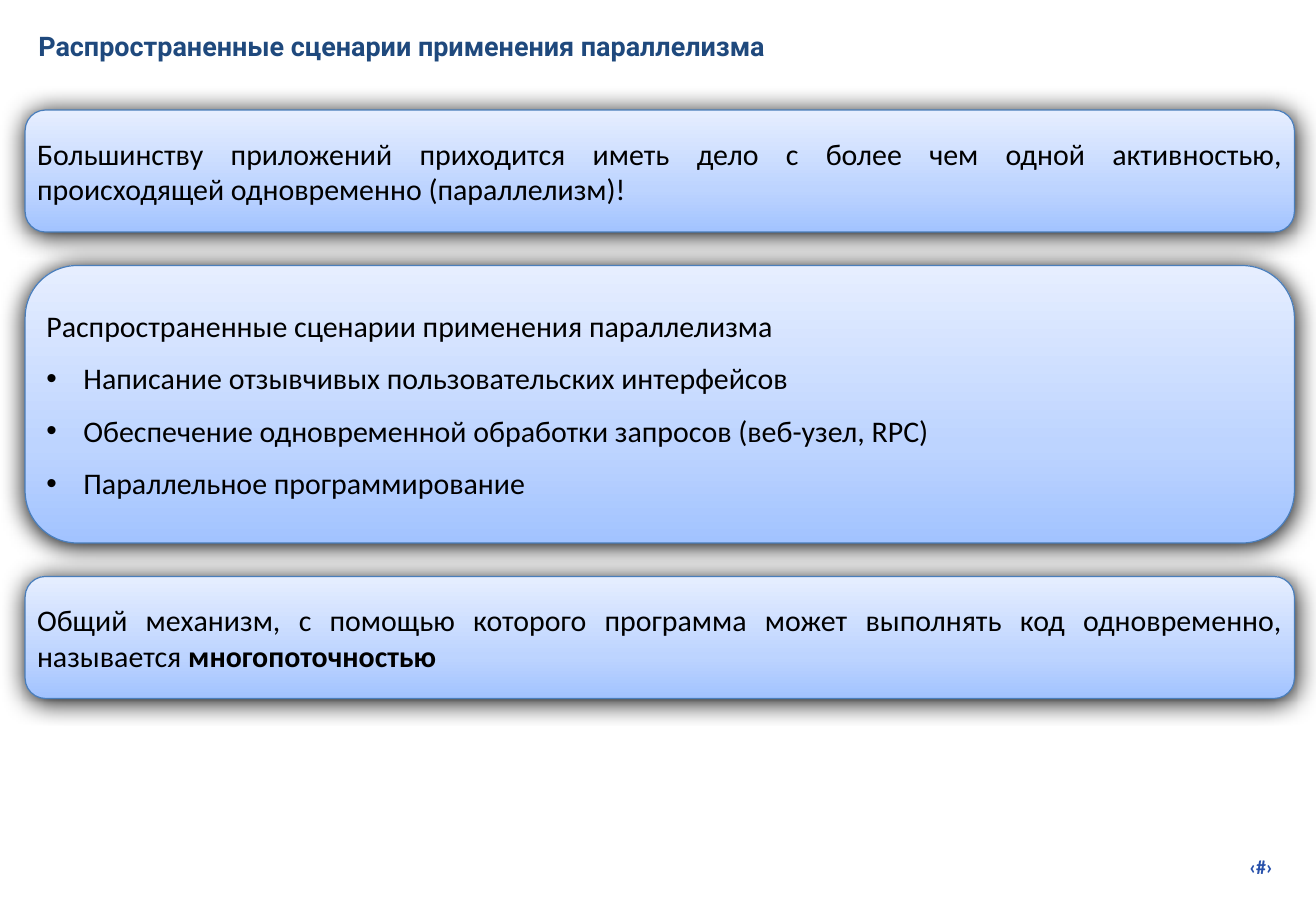
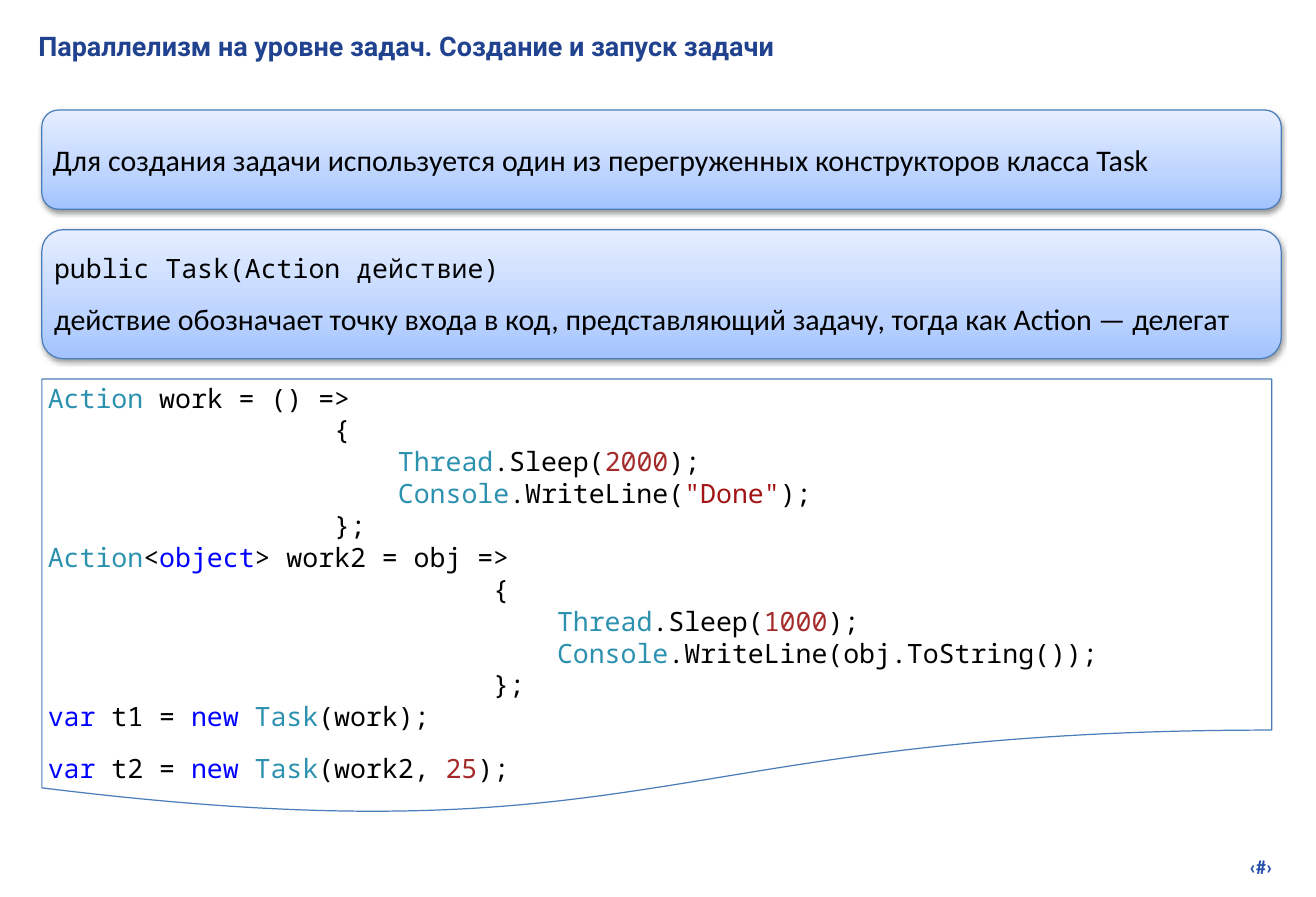
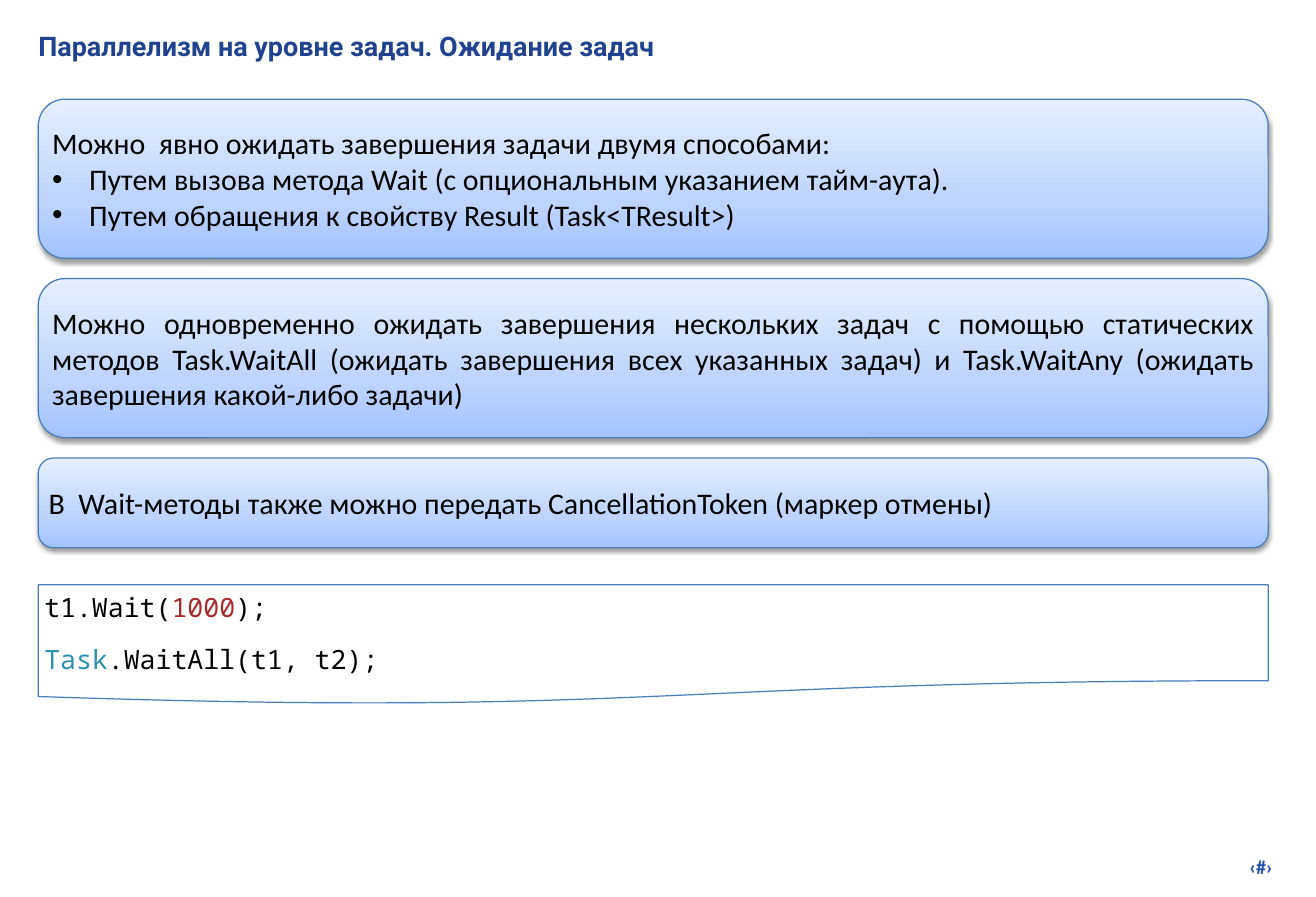
from copy import deepcopy

from lxml.etree import SubElement
from pptx import Presentation
from pptx.dml.color import RGBColor
from pptx.enum.shapes import MSO_SHAPE
from pptx.enum.text import MSO_ANCHOR, MSO_AUTO_SIZE, PP_ALIGN
from pptx.oxml.ns import qn
from pptx.util import Inches, Pt

BLACK, WHITE, OUTLINE = "000000", "FFFFFF", "4A7EBB"
NAVY, ROYAL, PAGE_NUMBER = "1F497D", "21438F", "2750AB"
PANEL_GRADIENT = [(0, "A2C3FF"), (0.35, "BDD4FF"), (1, "E6EEFF")]
PADDING = 0.05
BULLET_INDENT = 0.31

# Shadows: opacity in percent, blur and distance in points
GLOW = (100, 15, 0.7)
SOFT = (38, 3, 1.6)

STYLES = {"text": ("Calibri", 18), "bullet": ("Calibri", 18), "code": ("Noto Sans Mono", 16)}
TOKEN_COLORS = {
    **dict.fromkeys(["Action", "Thread", "Console", "Task"], "2B91AF"),
    **dict.fromkeys(["var", "new", "object"], "0000FF"),
    **dict.fromkeys(["1000", "2000", "25"], "A52A2A"),
    '"Done"': "A31515",
}
BOLD_TOKENS = {"многопоточностью"}

# Paragraphs: (style, space before in points, text with | between its runs)
# Panels: (height, corner, alignment, paragraphs)
SLIDES = [
    {
        "title": "Распространенные сценарии применения параллелизма",
        "title_color": NAVY,
        "left": 0.21, "top": 0.92, "width": 10.61, "gap": 0.28, "shadow": GLOW,
        "panels": [
            (1.02, 0.167, PP_ALIGN.JUSTIFY, [
                ("text", 0, "Большинству приложений приходится иметь дело с более чем одной "
                            "активностью, происходящей одновременно (параллелизм)!"),
            ]),
            (2.32, 0.188, PP_ALIGN.LEFT, [
                ("text", 0, "Распространенные сценарии применения параллелизма"),
                ("bullet", 10, "Написание отзывчивых пользовательских интерфейсов"),
                ("bullet", 10, "Обеспечение одновременной обработки запросов (веб-узел, RPC)"),
                ("bullet", 10, "Параллельное программирование"),
            ]),
            (1.02, 0.167, PP_ALIGN.JUSTIFY, [
                ("text", 0, "Общий механизм, с помощью которого программа может выполнять код "
                            "одновременно, называется |многопоточностью"),
            ]),
        ],
    },
    {
        "title": "Параллелизм на уровне задач. Создание и запуск задачи",
        "title_color": ROYAL,
        "left": 0.35, "top": 0.92, "width": 10.36, "gap": 0.17, "shadow": SOFT,
        "panels": [
            (0.83, 0.167, PP_ALIGN.JUSTIFY, [
                ("text", 0, "Для создания задачи используется один из перегруженных "
                            "конструкторов класса Task"),
            ]),
            (1.08, 0.167, PP_ALIGN.JUSTIFY, [
                ("code", 0, "public Task(Action действие)"),
                ("text", 10, "действие обозначает точку входа в код, представляющий задачу, "
                             "тогда как Action — делегат"),
            ]),
        ],
        "listing": {"top": 3.17, "height": 3.66, "padding": 0.02, "lines": [
            ("code", 0, "Action| work = () =>"),
            ("code", 0, "                  {"),
            ("code", 0, "                      |Thread|.Sleep(|2000|);"),
            ("code", 0, '                      |Console|.WriteLine(|"Done"|);'),
            ("code", 0, "                  };"),
            ("code", 0, "Action|<|object|> work2 = obj =>"),
            ("code", 0, "                            {"),
            ("code", 0, "                                |Thread|.Sleep(|1000|);"),
            ("code", 0, "                                |Console|.WriteLine(obj.ToString());"),
            ("code", 0, "                            };"),
            ("code", 0, "var| t1 = |new |Task|(work);"),
            ("code", 12, "var| t2 = |new |Task|(work2, |25|);"),
        ]},
    },
    {
        "title": "Параллелизм на уровне задач. Ожидание задач",
        "title_color": ROYAL,
        "left": 0.32, "top": 0.83, "width": 10.28, "gap": 0.17, "shadow": SOFT,
        "panels": [
            (1.33, 0.167, PP_ALIGN.JUSTIFY, [
                ("text", 0, "Можно  явно ожидать завершения задачи двумя способами:"),
                ("bullet", 0, "Путем вызова метода Wait (с опциональным указанием тайм-аута)."),
                ("bullet", 0, "Путем обращения к свойству Result (Task<TResult>)"),
            ]),
            (1.33, 0.167, PP_ALIGN.JUSTIFY, [
                ("text", 0, "Можно одновременно ожидать завершения нескольких задач с помощью "
                            "статических методов Task.WaitAll (ожидать завершения всех указанных "
                            "задач) и Task.WaitAny (ожидать завершения какой-либо задачи)"),
            ]),
            (0.75, 0.167, PP_ALIGN.JUSTIFY, [
                ("text", 0, "В  Wait-методы также можно передать CancellationToken "
                            "(маркер отмены)"),
            ]),
        ],
        "listing": {"top": 4.89, "height": 1, "padding": 0.05, "lines": [
            ("code", 0, "t1.Wait(|1000|);"),
            ("code", 12, "Task|.WaitAll(t1, t2);"),
        ]},
    },
]
LISTING_WIDTH = 10.28


def rgb(color):
    return RGBColor.from_string(color)


def place(shape, left, top, width, height):
    shape.left, shape.top = Inches(left), Inches(top)
    shape.width, shape.height = Inches(width), Inches(height)


def set_frame(frame, anchor, top_padding=PADDING):
    frame.word_wrap = True
    frame.auto_size = MSO_AUTO_SIZE.NONE
    frame.vertical_anchor = anchor
    frame.margin_left = frame.margin_right = frame.margin_bottom = Inches(PADDING)
    frame.margin_top = Inches(top_padding)


def set_heading_font(paragraph, name, size, color):
    font = paragraph.font
    font.name, font.size, font.bold = name, Pt(size), True
    font.color.rgb = rgb(color)


def add_bullet(paragraph):
    properties = paragraph._p.get_or_add_pPr()
    properties.set("marL", str(Inches(BULLET_INDENT)))
    properties.set("indent", str(-Inches(BULLET_INDENT)))
    SubElement(properties, qn("a:buFont")).set("typeface", "Arial")
    SubElement(properties, qn("a:buChar")).set("char", "•")


def write_paragraphs(frame, paragraphs, alignment):
    for index, (style, space, text) in enumerate(paragraphs):
        paragraph = frame.add_paragraph() if index else frame.paragraphs[0]
        if style == "bullet":
            add_bullet(paragraph)
        paragraph.alignment = alignment
        paragraph.space_before = Pt(space)
        name, size = STYLES[style]
        paragraph.font.name, paragraph.font.size = name, Pt(size)
        for token in text.split("|"):
            run = paragraph.add_run()
            run.text = token
            run.font.color.rgb = rgb(TOKEN_COLORS.get(token.strip(), BLACK))
            if token in BOLD_TOKENS:
                run.font.bold = True


def fill_with_gradient(shape):
    shape.fill.gradient()
    shape.fill.gradient_angle = 90
    stop_list = shape.element.spPr.find(".//" + qn("a:gsLst"))
    stop_list.append(deepcopy(stop_list[0]))
    for stop, (position, color) in zip(shape.fill.gradient_stops, PANEL_GRADIENT):
        stop.position = position
        stop.color.rgb = rgb(color)


def add_shadow(shape, opacity, blur, distance):
    effects = shape.element.spPr.find(qn("a:effectLst"))
    shadow = SubElement(effects, qn("a:outerShdw"), blurRad=str(Pt(blur)),
                        dist=str(Pt(distance)), dir="5400000", rotWithShape="0")
    color = SubElement(shadow, qn("a:srgbClr"), val=BLACK)
    SubElement(color, qn("a:alpha"), val=str(opacity * 1000))


def add_outlined_shape(slide, kind, left, top, width, height):
    shape = slide.shapes.add_shape(kind, Inches(left), Inches(top), Inches(width), Inches(height))
    shape.shadow.inherit = False
    shape.line.color.rgb = rgb(OUTLINE)
    shape.line.width = Pt(0.75)
    return shape


def add_panels(slide, content):
    top = content["top"]
    for height, corner, alignment, paragraphs in content["panels"]:
        panel = add_outlined_shape(slide, MSO_SHAPE.ROUNDED_RECTANGLE,
                                   content["left"], top, content["width"], height)
        panel.adjustments[0] = corner
        fill_with_gradient(panel)
        add_shadow(panel, *content["shadow"])
        set_frame(panel.text_frame, MSO_ANCHOR.MIDDLE)
        write_paragraphs(panel.text_frame, paragraphs, alignment)
        top += height + content["gap"]


def add_listing(slide, left, listing):
    sheet = add_outlined_shape(slide, MSO_SHAPE.FLOWCHART_DOCUMENT,
                               left, listing["top"], LISTING_WIDTH, listing["height"])
    sheet.fill.solid()
    sheet.fill.fore_color.rgb = rgb(WHITE)
    set_frame(sheet.text_frame, MSO_ANCHOR.TOP, listing["padding"])
    write_paragraphs(sheet.text_frame, listing["lines"], PP_ALIGN.LEFT)


def write_title(slide, text, color):
    title = slide.shapes.title
    place(title, 0.27, 0.2, 10.5, 0.4)
    set_frame(title.text_frame, MSO_ANCHOR.TOP)
    title.text_frame.text = text
    paragraph = title.text_frame.paragraphs[0]
    paragraph.alignment = PP_ALIGN.LEFT
    set_heading_font(paragraph, "Roboto", 16.2, color)


def add_page_number(slide, layout):
    """Make the page number box on a slide and move it to the layout all slides share."""
    box = slide.shapes.add_textbox(Inches(8.36), Inches(7.1), Inches(2.33), Inches(0.29))
    set_frame(box.text_frame, MSO_ANCHOR.TOP)
    box.text_frame.text = "‹#›"
    paragraph = box.text_frame.paragraphs[0]
    paragraph.alignment = PP_ALIGN.RIGHT
    set_heading_font(paragraph, "Calibri", 12, PAGE_NUMBER)
    box.element.nvSpPr.cNvPr.set("id", "20")
    layout.shapes.element.append(box.element)


def main():
    presentation = Presentation()
    presentation.slide_width, presentation.slide_height = Inches(11), Inches(7.5)
    layout = presentation.slide_layouts.get_by_name("Title Only")
    for content in SLIDES:
        slide = presentation.slides.add_slide(layout)
        write_title(slide, content["title"], content["title_color"])
        add_panels(slide, content)
        if "listing" in content:
            add_listing(slide, content["left"], content["listing"])
    add_page_number(slide, layout)
    presentation.save("out.pptx")


if __name__ == "__main__":
    main()
